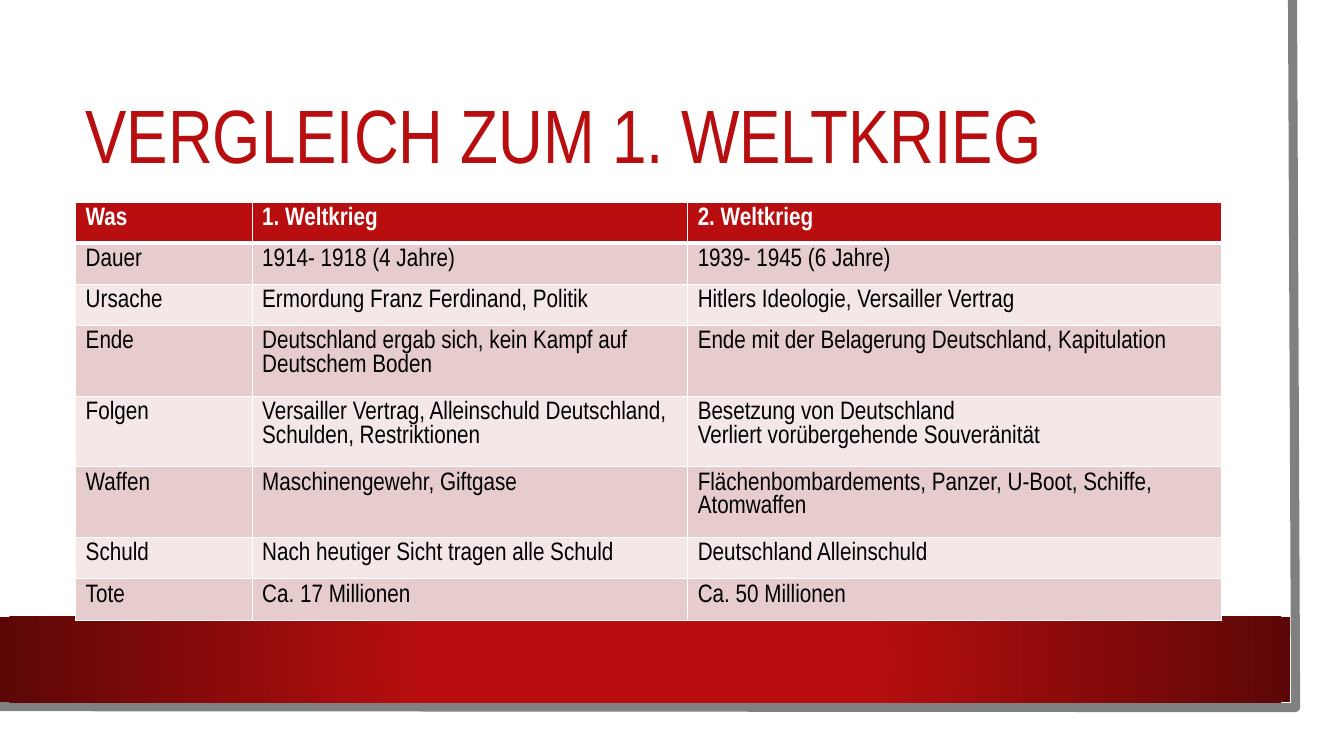
from dataclasses import dataclass

from lxml.etree import SubElement
from pptx import Presentation
from pptx.dml.color import RGBColor as Rgb
from pptx.enum.shapes import MSO_SHAPE as Kind
from pptx.enum.text import MSO_ANCHOR as Anchor
from pptx.oxml import parse_xml
from pptx.oxml.ns import nsdecls, qn
from pptx.util import Inches, Pt

WIDE, HIGH = Inches(13.33), Inches(7.5)
FONT = "Arial Narrow"
RED, DARK, WHITE, BLACK, GREY = "B80E0F", "5C0707", "FFFFFF", "000000", "808080"
BANDS = "F3E7E7", "E6CCCC"
COLS = 13.13, 32.41, 39.69
HEAD, ROW = 5.2, 5.47


@dataclass
class Box:
    """A place on the slide, in percent of its width and height."""
    left: float
    top: float
    width: float
    height: float

    def emu(self) -> tuple[int, int, int, int]:
        return across(self.left), down(self.top), across(self.width), down(self.height)


@dataclass
class Fact:
    """One table row; a line break in a text starts a new paragraph."""
    what: str
    first: str
    second: str

    def cells(self) -> tuple[str, str, str]:
        return self.what, self.first, self.second


FACTS = [
    Fact("Was", "1. Weltkrieg", "2. Weltkrieg"),
    Fact("Dauer", "1914- 1918 (4 Jahre)", "1939- 1945 (6 Jahre)"),
    Fact("Ursache", "Ermordung Franz Ferdinand, Politik",
         "Hitlers Ideologie, Versailler Vertrag"),
    Fact("Ende", "Deutschland ergab sich, kein Kampf auf Deutschem Boden",
         "Ende mit der Belagerung Deutschland, Kapitulation"),
    Fact("Folgen", "Versailler Vertrag, Alleinschuld Deutschland, Schulden, Restriktionen",
         "Besetzung von Deutschland\nVerliert vorübergehende Souveränität"),
    Fact("Waffen", "Maschinengewehr, Giftgase",
         "Flächenbombardements, Panzer, U-Boot, Schiffe, Atomwaffen"),
    Fact("Schuld", "Nach heutiger Sicht tragen alle Schuld", "Deutschland Alleinschuld"),
    Fact("Tote", "Ca. 17 Millionen", "Ca. 50 Millionen"),
]


def across(share: float) -> int:
    return round(WIDE * share / 100)


def down(share: float) -> int:
    return round(HIGH * share / 100)


def paint(fill, color: str) -> None:
    fill.solid()
    fill.fore_color.rgb = Rgb.from_string(color)


def write(frame, text: str, size: float, color: str, bold: bool = False) -> None:
    for i, line in enumerate(text.split("\n")):
        para = frame.add_paragraph() if i else frame.paragraphs[0]
        run = para.add_run()
        run.text = line
        font = run.font
        font.name, font.size, font.bold = FONT, Pt(size), bold
        font.color.rgb = Rgb.from_string(color)


def add_rect(slide, box: Box, color: str):
    rect = slide.shapes.add_shape(Kind.RECTANGLE, *box.emu())
    rect.shadow.inherit = False
    rect.line.fill.background()
    paint(rect.fill, color)
    return rect


def add_glow(rect) -> None:
    """Fill with a round gradient, red in the middle and dark at the ends."""
    props = rect.fill._xPr
    old = props.find(qn("a:solidFill"))
    props.replace(old, parse_xml(
        f'<a:gradFill {nsdecls("a")} rotWithShape="1"><a:gsLst>'
        f'<a:gs pos="34000"><a:srgbClr val="{RED}"/></a:gs>'
        f'<a:gs pos="100000"><a:srgbClr val="{DARK}"/></a:gs></a:gsLst>'
        '<a:path path="circle"><a:fillToRect l="50000" t="50000" r="50000" b="50000"/>'
        '</a:path></a:gradFill>'))


def add_edge(slide) -> None:
    """Draw the grey line down the right side and along the foot."""
    pen = slide.shapes.build_freeform(across(96.17), 0)
    pen.add_line_segments([(across(96.4), down(93.6)), (across(-0.23), down(93.47))],
                          close=False)
    edge = pen.convert_to_shape()
    edge.shadow.inherit = False
    edge.fill.background()
    paint(edge.line.fill, GREY)
    edge.line.width = Pt(6.5)


def add_title(slide, box: Box, text: str) -> None:
    frame = slide.shapes.add_textbox(*box.emu()).text_frame
    frame.word_wrap = True
    frame.vertical_anchor = Anchor.MIDDLE
    write(frame, text, 54, RED)
    frame.paragraphs[0].line_spacing = 0.9


def rule(cell, row: int) -> None:
    """Put white borders on a cell, thick between head and body."""
    props = cell._tc.get_or_add_tcPr()
    sides = {"L": 1, "R": 1, "T": 3 if row == 1 else 1, "B": 3 if row == 0 else 1}
    for side, width in sides.items():
        line = SubElement(props, qn(f"a:ln{side}"), w=str(Pt(width)))
        SubElement(SubElement(line, qn("a:solidFill")), qn("a:srgbClr"), val=WHITE)


def add_facts(slide, left: float, top: float) -> None:
    rows = [HEAD] + [ROW] * (len(FACTS) - 1)
    box = Box(left, top, sum(COLS), sum(rows))
    table = slide.shapes.add_table(len(rows), len(COLS), *box.emu()).table
    for col, width in zip(table.columns, COLS):
        col.width = across(width)
    for i, (fact, height) in enumerate(zip(FACTS, rows)):
        table.rows[i].height = down(height)
        for j, text in enumerate(fact.cells()):
            cell = table.cell(i, j)
            rule(cell, i)
            paint(cell.fill, BANDS[i % 2] if i else RED)
            write(cell.text_frame, text, 18, BLACK if i else WHITE, not i)


def main() -> None:
    deck = Presentation()
    deck.slide_width, deck.slide_height = WIDE, HIGH
    slide = deck.slides.add_slide(deck.slide_layouts[6])
    paint(slide.background.fill, WHITE)
    add_rect(slide, Box(0, 0, 98.27, 96.93), WHITE)
    add_edge(slide)
    add_glow(add_rect(slide, Box(0, 81.6, 96.02, 11.33), RED))
    add_title(slide, Box(5.63, 10, 85.3, 16.8), "VERGLEICH ZUM 1. WELTKRIEG")
    add_facts(slide, 5.63, 26.8)
    deck.save("out.pptx")


if __name__ == "__main__":
    main()
